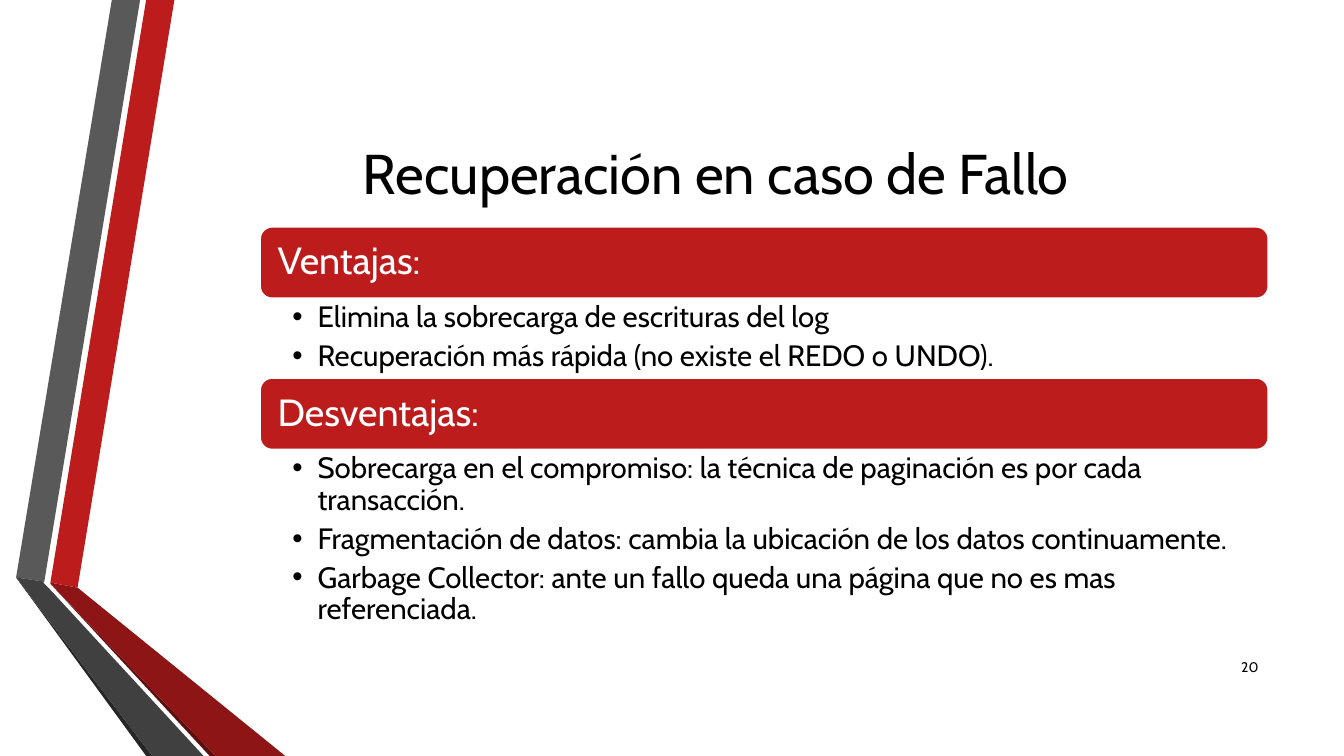
"""Build the slide on pros and cons of recovery after a failure."""
from lxml import etree
from pptx import Presentation
from pptx.dml.color import RGBColor
from pptx.enum.shapes import MSO_SHAPE
from pptx.enum.text import MSO_ANCHOR, PP_ALIGN
from pptx.oxml.ns import qn
from pptx.util import Inches, Pt

ROUND = MSO_SHAPE.ROUNDED_RECTANGLE
MIDDLE, TOP = MSO_ANCHOR.MIDDLE, MSO_ANCHOR.TOP
LEFT, CENTER, RIGHT = PP_ALIGN.LEFT, PP_ALIGN.CENTER, PP_ALIGN.RIGHT
FONT = "Cabin"
COLORS = {
    "red": "BC1C1C", "wine": "8D1515", "maroon": "5E0E0E",
    "gray": "595959", "dark": "404040", "coal": "262626",
    "white": "FFFFFF", "black": "000000",
}
WIDE, HIGH = 13.33, 7.5
EDGE = 12.58
START = 2.58
SPAN = EDGE - START
BAND = 0.71
UNIT = 9144


def paint(shape, color):
    shape.shadow.inherit = False
    shape.fill.solid()
    shape.fill.fore_color.rgb = RGBColor.from_string(COLORS[color])


def write(shape, lines, size, color, align, anchor, pads):
    frame = shape.text_frame
    frame.word_wrap = True
    frame.vertical_anchor = anchor
    (frame.margin_left, frame.margin_top,
     frame.margin_right, frame.margin_bottom) = [Inches(pad) for pad in pads]
    for num, line in enumerate(lines):
        para = frame.add_paragraph() if num else frame.paragraphs[0]
        para.alignment = align
        run = para.add_run()
        run.text = line
        run.font.name = FONT
        run.font.size = Pt(size)
        run.font.color.rgb = RGBColor.from_string(COLORS[color])
    return frame.paragraphs


deck = Presentation()
deck.slide_width, deck.slide_height = Inches(WIDE), Inches(HIGH)
slide = deck.slides.add_slide(deck.slide_layouts[6])
shapes = slide.shapes

# Points in hundredths of an inch
ribbons = [
    ("red", [(50, 578), (77, 583), (173, 0), (145, 0)]),
    ("gray", [(139, 0), (111, 0), (16, 573), (44, 577)]),
    ("coal", [(16, 573), (145, 750), (151, 750)]),
    ("maroon", [(50, 579), (208, 750), (214, 750)]),
    ("wine", [(50, 579), (214, 750), (283, 750), (77, 583), (50, 578)]),
    ("dark", [(202, 750), (48, 583), (43, 578), (44, 577), (16, 573), (151, 750)]),
]
for color, points in ribbons:
    pen = shapes.build_freeform(*points[0], scale=UNIT)
    pen.add_line_segments(points[1:], close=True)
    ribbon = pen.convert_to_shape()
    paint(ribbon, color)
    ribbon.line.fill.background()

labels = [
    ("Recuperación en caso de Fallo", 1.62, HIGH * 0.1, 1.92, 40, CENTER),
    ("20", 11.98, 6.42, 0.4, 10, RIGHT),
]
for words, left, top, tall, size, align in labels:
    box = shapes.add_textbox(Inches(left), Inches(top), Inches(EDGE - left), Inches(tall))
    write(box, [words], size, "black", align, MIDDLE, (0.1, 0.05, 0.1, 0.05))

parts = [
    ("Ventajas:", 0.3, 0.79, [
        "Elimina la sobrecarga de escrituras del log",
        "Recuperación más rápida (no existe el REDO o UNDO).",
    ]),
    ("Desventajas:", 0.5, 1.83, [
        "Sobrecarga en el compromiso: la técnica de paginación es por cada transacción.",
        "Fragmentación de datos: cambia la ubicación de los datos continuamente.",
        "Garbage Collector: ante un fallo queda una página que no es mas referenciada.",
    ]),
]
for head, share, tall, items in parts:
    top = HIGH * share
    band = shapes.add_shape(ROUND, Inches(START), Inches(top), Inches(SPAN), Inches(BAND))
    paint(band, "red")
    band.line.color.rgb = RGBColor.from_string(COLORS["white"])
    band.line.width = Pt(1.25)
    for para in write(band, [head], 27, "white", LEFT, MIDDLE, (0.14, 0.11, 0.14, 0.11)):
        para.line_spacing = 0.9

    box = shapes.add_textbox(Inches(START), Inches(top + BAND), Inches(SPAN), Inches(tall))
    for para in write(box, items, 21, "black", LEFT, TOP, (0.32, 0.04, 0.21, 0.04)):
        para.line_spacing = 0.9
        para.space_after = Pt(5)
        props = para._p.get_or_add_pPr()
        props.set("marL", str(Inches(0.25)))
        props.set("indent", str(-Inches(0.25)))
        etree.SubElement(props, qn("a:buFont"), typeface="Arial")
        etree.SubElement(props, qn("a:buChar"), char="•")

deck.save("out.pptx")
